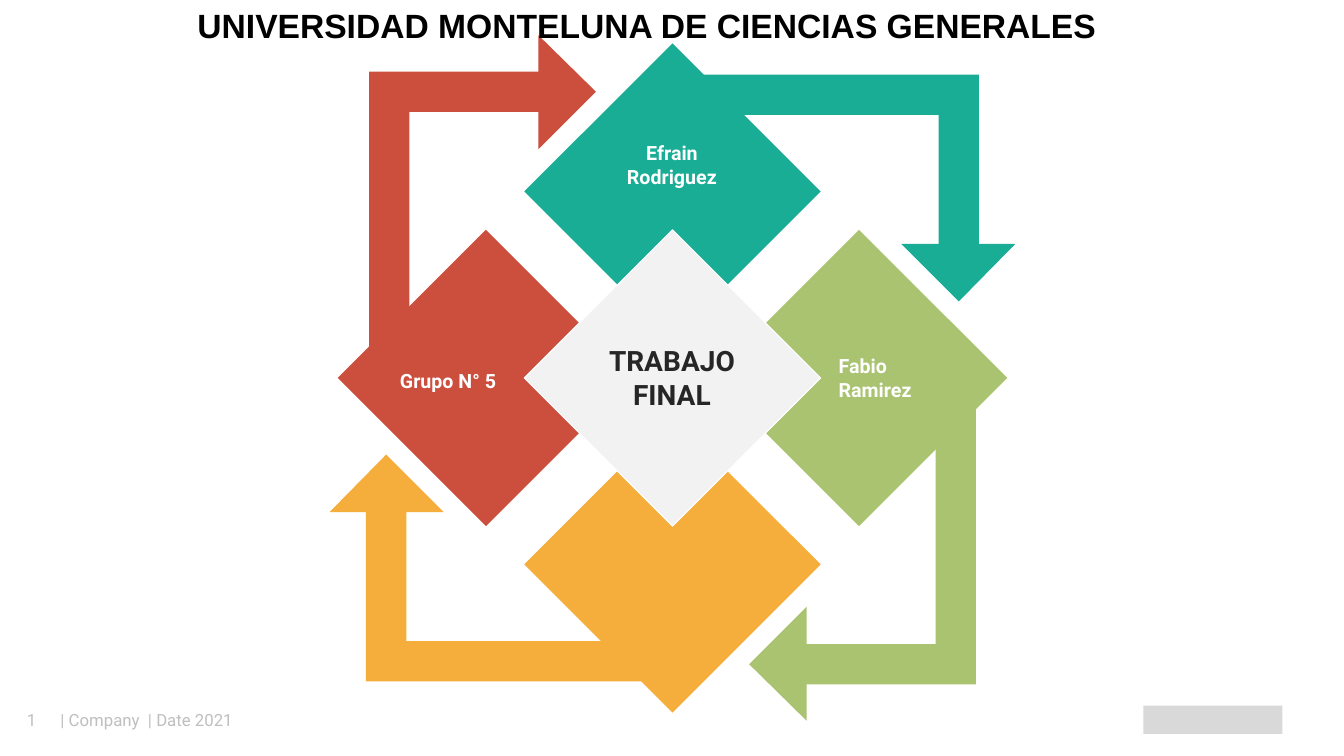
from pptx import Presentation
from pptx.dml.color import RGBColor
from pptx.enum.shapes import MSO_SHAPE as Shape
from pptx.enum.text import MSO_ANCHOR as Anchor, MSO_AUTO_SIZE as AutoSize, PP_ALIGN as Align
from pptx.util import Inches, Pt

RED = RGBColor(0xCC, 0x4E, 0x3D)
TEAL = RGBColor(0x1A, 0xAD, 0x96)
GREEN = RGBColor(0xA9, 0xC3, 0x70)
ORANGE = RGBColor(0xF5, 0xAE, 0x3B)
PALE = RGBColor(0xF2, 0xF2, 0xF2)
WHITE = RGBColor(0xFF, 0xFF, 0xFF)
BLACK = RGBColor(0, 0, 0)
DARK = RGBColor(0x26, 0x26, 0x26)
FOOTER_GREY = RGBColor(0xBF, 0xBF, 0xBF)
LOGO_GREY = RGBColor(0xD9, 0xD9, 0xD9)

# Left bent arrow, measured from the centre of the cycle
ARROW = [(-2.61, 0), (-2.61, -2.64), (-1.33, -2.64), (-1.33, -2.27), (-0.76, -2.84),
         (-1.33, -3.4), (-1.33, -3.04), (-3.01, -3.04), (-3.01, 0)]
DIAMOND = 2.94  # width and height
REACH = 1.85    # from the centre to each outer diamond

# Clockwise from the left: colour, direction, label, label box, alignment
STEPS = [
    (RED, (-1, 0), "Grupo N° 5", (-2.89, -0.14, 1.33, 0.34), Align.CENTER),
    (TEAL, (0, -1), "Efrain Rodriguez", (-0.67, -2.4, 1.33, 0.57), Align.CENTER),
    (GREEN, (1, 0), "Fabio Ramirez", (1.55, -0.29, 1.24, 0.57), Align.LEFT),
    (ORANGE, (0, 1), None, None, None),
]


def place(shape, left, top, width, height):
    shape.left, shape.top = Inches(left), Inches(top)
    shape.width, shape.height = Inches(width), Inches(height)


def write_text(shape, text, size, color, font="Roboto", bold=False,
               align=Align.LEFT, anchor=Anchor.MIDDLE, inset=(0.1, 0.05)):
    frame = shape.text_frame
    frame.word_wrap = True
    frame.auto_size = AutoSize.NONE
    frame.vertical_anchor = anchor
    frame.margin_left = frame.margin_right = Inches(inset[0])
    frame.margin_top = frame.margin_bottom = Inches(inset[1])
    para = frame.paragraphs[0]
    para.alignment = align
    span = para.add_run()
    span.text = text
    span.font.name, span.font.size, span.font.bold = font, Pt(size), bold
    span.font.color.rgb = color
    return para


def add_label(page, box, text, size, color, **style):
    label = page.shapes.add_textbox(*map(Inches, box))
    write_text(label, text, size, color, **style)


def paint(shape, fill, line=None):
    shape.shadow.inherit = False
    shape.fill.solid()
    shape.fill.fore_color.rgb = fill
    if line is None:
        shape.line.fill.background()
    else:
        shape.line.color.rgb = line
        shape.line.width = Pt(0.75)


def add_arrow(page, center_x, center_y, quarter_turns, color):
    points = ARROW
    for _ in range(quarter_turns):
        points = [(-y, x) for x, y in points]
    points = [(Inches(center_x + x), Inches(center_y + y)) for x, y in points]
    builder = page.shapes.build_freeform(*points[0])
    builder.add_line_segments(points[1:], close=True)
    paint(builder.convert_to_shape(), color)


def add_diamond(page, center_x, center_y, fill, line=None):
    diamond = page.shapes.add_shape(
        Shape.DIAMOND, Inches(center_x - DIAMOND / 2), Inches(center_y - DIAMOND / 2),
        Inches(DIAMOND), Inches(DIAMOND))
    paint(diamond, fill, line)


def add_cycle(page, left, top, width, height):
    center_x, center_y = left + width / 2, top + height / 2
    # Arrows lie behind the diamonds
    for turns, (color, *_) in enumerate(STEPS):
        add_arrow(page, center_x, center_y, turns, color)
    for color, (across, down), *_ in STEPS:
        add_diamond(page, center_x + REACH * across, center_y + REACH * down, color)
    add_diamond(page, center_x, center_y, PALE, line=WHITE)

    # Labels
    add_label(page, (center_x - 0.95, center_y - 0.39, 1.89, 0.77), "TRABAJO FINAL",
              20, DARK, bold=True, align=Align.CENTER)
    for _, _, text, box, align in STEPS:
        if text:
            x, y, box_width, box_height = box
            add_label(page, (center_x + x, center_y + y, box_width, box_height), text,
                      14, WHITE, bold=True, align=align)


def add_title(page, left, top, width, height):
    title = page.shapes.title
    place(title, left, top, width, height)
    para = write_text(title, "UNIVERSIDAD MONTELUNA DE CIENCIAS GENERALES", 24, BLACK,
                      font="Arial", bold=True, align=Align.CENTER, anchor=Anchor.TOP)
    para.line_spacing = 1.07
    para.space_before, para.space_after = Pt(0), Pt(5)
    margins = para._p.get_or_add_pPr()
    margins.set("marL", str(Inches(0.26)))
    margins.set("indent", str(Inches(-0.01)))
    # Bring the title in front of the arrow tip
    page.shapes._spTree.append(title._element)


def add_footer(page, left, top, width, height):
    add_label(page, (left, top, 0.57, height), "1", 12, FOOTER_GREY,
              align=Align.CENTER, inset=(0.13, 0.07))
    add_label(page, (left + 0.57, top + 0.1, 2.66, 0.2), "| Company  | Date 2021",
              12, FOOTER_GREY, inset=(0, 0))
    # Plain block in the logo's place
    logo = page.shapes.add_shape(Shape.RECTANGLE, Inches(left + width - 1.38),
                                 Inches(top + 0.06), Inches(1.38), Inches(0.28))
    paint(logo, LOGO_GREY)


def main():
    deck = Presentation()
    deck.slide_width, deck.slide_height = Inches(13.33), Inches(7.5)
    page = deck.slides.add_slide(deck.slide_layouts[5])
    add_footer(page, 0.03, 6.94, 12.69, 0.4)
    add_cycle(page, 3.27, 0.35, 6.8, 6.8)
    add_title(page, 1.57, -0.03, 9.44, 0.5)
    deck.save("out.pptx")


if __name__ == "__main__":
    main()
